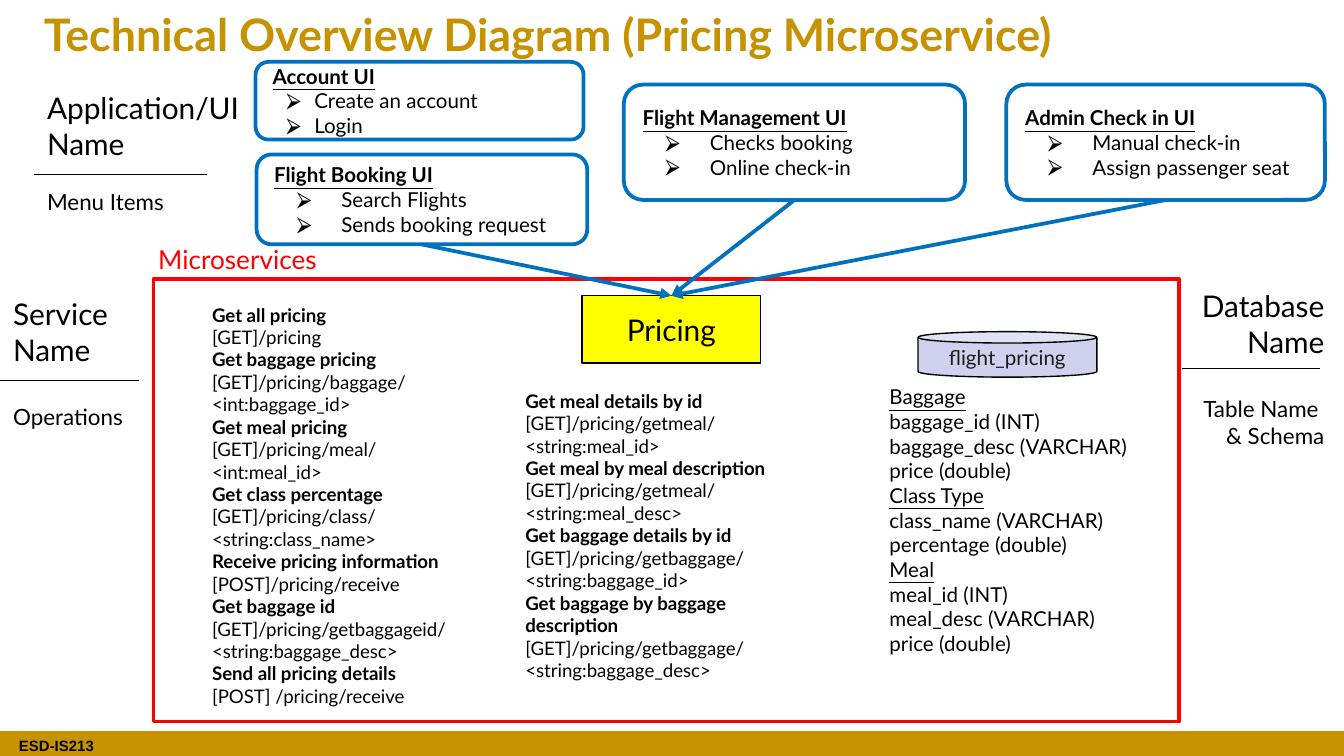
import pptx
import pptx.util
import pptx.dml.color
import pptx.enum.shapes
import pptx.enum.text
import pptx.oxml.ns
from lxml import etree

Cm, Pt = pptx.util.Cm, pptx.util.Pt
SHAPE = pptx.enum.shapes.MSO_SHAPE
ALIGN = pptx.enum.text.PP_ALIGN
ANCHOR = pptx.enum.text.MSO_ANCHOR
qn = pptx.oxml.ns.qn

COLORS = {"gold": "C69200", "red": "FF0000", "blue": "0070C0", "yellow": "FFFF00",
          "lilac": "D0D0EF", "black": "000000", "ink": "1C1C1C"}

# Content; positions are left, top, width, height in cm
TITLE = "Technical Overview Diagram (Pricing Microservice)"

# name, position, menu items, bullet indent (cm), hanging (cm), calls Pricing
SCREENS = [
    ("Flight Booking UI", (4.85, 2.92, 6.25, 1.7),
     ["Search Flights", "Sends booking request"], 1.27, 0.84, True),
    ("Flight Management UI", (11.79, 1.6, 6.45, 2.18),
     ["Checks booking", "Online check-in"], 1.27, 0.84, True),
    ("Admin Check in UI", (19.02, 1.6, 6.02, 2.18),
     ["Manual check-in", "Assign passenger seat"], 1.27, 0.84, True),
    ("Account UI", (4.83, 1.17, 6.2, 1.47),
     ["Create an account", "Login"], 0.79, 0.53, False),
]

# heading, detail lines, position, alignment, gap (pt), rule: left, right, y
LEGENDS = [
    ("Application/UI Name", ["Menu Items"], (0.64, 1.57, 4.19, 1.98),
     ALIGN.LEFT, 14.6, (0.64, 3.91, 3.3)),
    ("Service Name", ["Operations"], (0, 5.46, 3.28, 2.18),
     ALIGN.LEFT, 19.5, (0, 2.62, 7.19)),
    ("Database Name", ["Table Name ", "& Schema"], (22.33, 5.31, 2.95, 2.49),
     ALIGN.RIGHT, 19.5, (22.33, 24.94, 6.96)),
]

OPERATIONS = [
    ((3.76, 5.61, 5.44, 6.83), [
        ("Get all pricing", "[GET]/pricing"),
        ("Get baggage pricing", "[GET]/pricing/baggage/<int:baggage_id>"),
        ("Get meal pricing", "[GET]/pricing/meal/<int:meal_id>"),
        ("Get class percentage", "[GET]/pricing/class/<string:class_name>"),
        ("Receive pricing information", "[POST]/pricing/receive"),
        ("Get baggage id", "[GET]/pricing/getbaggageid/<string:baggage_desc>"),
        ("Send all pricing details", "[POST] /pricing/receive"),
    ]),
    ((9.68, 7.24, 5.44, 5.69), [
        ("Get meal details by id", "[GET]/pricing/getmeal/<string:meal_id>"),
        ("Get meal by meal description", "[GET]/pricing/getmeal/<string:meal_desc>"),
        ("Get baggage details by id", "[GET]/pricing/getbaggage/<string:baggage_id>"),
        ("Get baggage by baggage description",
         "[GET]/pricing/getbaggage/<string:baggage_desc>"),
    ]),
]

SCHEMA = {
    "Baggage": ["baggage_id (INT)", "baggage_desc (VARCHAR)", "price (double)"],
    "Class Type": ["class_name (VARCHAR)", "percentage (double)"],
    "Meal": ["meal_id (INT)", "meal_desc (VARCHAR)", "price (double)"],
}


def rgb(name):
    return pptx.dml.color.RGBColor.from_string(COLORS[name])


def add_box(kind, at, fill=None, line=None, width=0.75):
    s = shapes.add_shape(kind, *map(Cm, at))
    s.shadow.inherit = False
    if fill:
        s.fill.solid()
        s.fill.fore_color.rgb = rgb(fill)
    else:
        s.fill.background()
    if line:
        s.line.color.rgb = rgb(line)
        s.line.width = Pt(width)
    else:
        s.line.fill.background()
    s.text_frame.vertical_anchor = ANCHOR.MIDDLE
    return s


def add_text_box(at):
    tf = shapes.add_textbox(*map(Cm, at)).text_frame
    tf.word_wrap = True
    return tf


def add_par(tf, text, size, color="black", align=ALIGN.LEFT, font="Lato",
            bold=False, underline=False):
    p = tf.paragraphs[0]
    if p.runs:
        p = tf.add_paragraph()
    p.alignment = align
    for i, part in enumerate([text] if isinstance(text, str) else text):
        if i:
            p.add_line_break()
        r = p.add_run()
        r.text = part
        r.font.name, r.font.size = font, Pt(size)
        r.font.bold, r.font.underline = bold, underline
        r.font.color.rgb = rgb(color)
    return p


def add_bullet(p, indent, hanging):
    pPr = p._p.get_or_add_pPr()
    pPr.set("marL", str(Cm(indent)))
    pPr.set("indent", str(-Cm(hanging)))
    clr = etree.SubElement(pPr, qn("a:buClr"))
    etree.SubElement(clr, qn("a:srgbClr"), val=COLORS["black"])
    etree.SubElement(pPr, qn("a:buFont"), typeface="Arial")
    etree.SubElement(pPr, qn("a:buChar"), char="⮚")


def add_line(x1, y1, x2, y2, color="black", width=0.75):
    s = shapes.add_connector(pptx.enum.shapes.MSO_CONNECTOR.STRAIGHT,
                             *map(Cm, (x1, y1, x2, y2)))
    s.line.color.rgb = rgb(color)
    s.line.width = Pt(width)
    etree.SubElement(s._element.spPr, qn("a:effectLst"))
    return s


prs = pptx.Presentation()
prs.slide_width, prs.slide_height = Cm(25.4), Cm(14.29)
shapes = prs.slides.add_slide(prs.slide_layouts[6]).shapes

# Footer band
add_box(SHAPE.RECTANGLE, (0, 13.82, 25.4, 0.47), "gold")
tf = add_text_box((0.36, 13.79, 3.28, 0.48))
tf.margin_left = tf.margin_right = 0
add_par(tf, "ESD-IS213", 8, font="Arial", bold=True)

# Title
tf = add_text_box((0.58, 0.15, 24.23, 0.97))
tf.vertical_anchor = ANCHOR.MIDDLE
add_par(tf, TITLE, 24, "gold", bold=True)

# Microservices frame and the Pricing service
add_box(SHAPE.RECTANGLE, (2.9, 5.28, 19.38, 8.36), line="red", width=2)
add_par(add_text_box((2.74, 4.47, 3.66, 0.64)), "Microservices", 14, "red")
pricing = add_box(SHAPE.RECTANGLE, (11, 5.59, 3.38, 1.27), "yellow", "black")
add_par(pricing.text_frame, "Pricing", 16, align=ALIGN.CENTER)

# Legends beside each layer
for heading, detail, at, align, gap, (left, right, y) in LEGENDS:
    tf = add_text_box(at)
    add_par(tf, heading, 16, align=align)
    add_par(tf, detail, 12, align=align).space_before = Pt(gap)
    add_line(left, y, right, y)

# Screens and their calls to Pricing
for name, at, items, indent, hanging, calls_pricing in SCREENS:
    s = add_box(SHAPE.FLOWCHART_ALTERNATE_PROCESS, at, line="blue", width=2)
    add_par(s.text_frame, name, 11, bold=True, underline=True)
    for item in items:
        add_bullet(add_par(s.text_frame, item, 11), indent, hanging)
    if calls_pricing:
        arrow = add_line(0, 0, 1, 1, "blue", 2)
        arrow.begin_connect(s, 2)
        arrow.end_connect(pricing, 0)
        etree.SubElement(arrow.line._get_or_add_ln(), qn("a:tailEnd"), type="triangle")

# Operations
for at, operations in OPERATIONS:
    tf = add_text_box(at)
    for name, call in operations:
        add_par(tf, name, 10, bold=True)
        add_par(tf, call, 10)

# Database and schema
can = add_box(SHAPE.CAN, (17.35, 6.27, 3.38, 0.86), "lilac", "black")
can.adjustments[0] = 0.25
add_par(can.text_frame, "flight_pricing", 11, "ink", ALIGN.CENTER)
tf = add_text_box((16.56, 7.14, 5.44, 5.05))
for table, columns in SCHEMA.items():
    add_par(tf, table, 11, underline=True)
    for column in columns:
        add_par(tf, column, 11)

prs.save("out.pptx")
